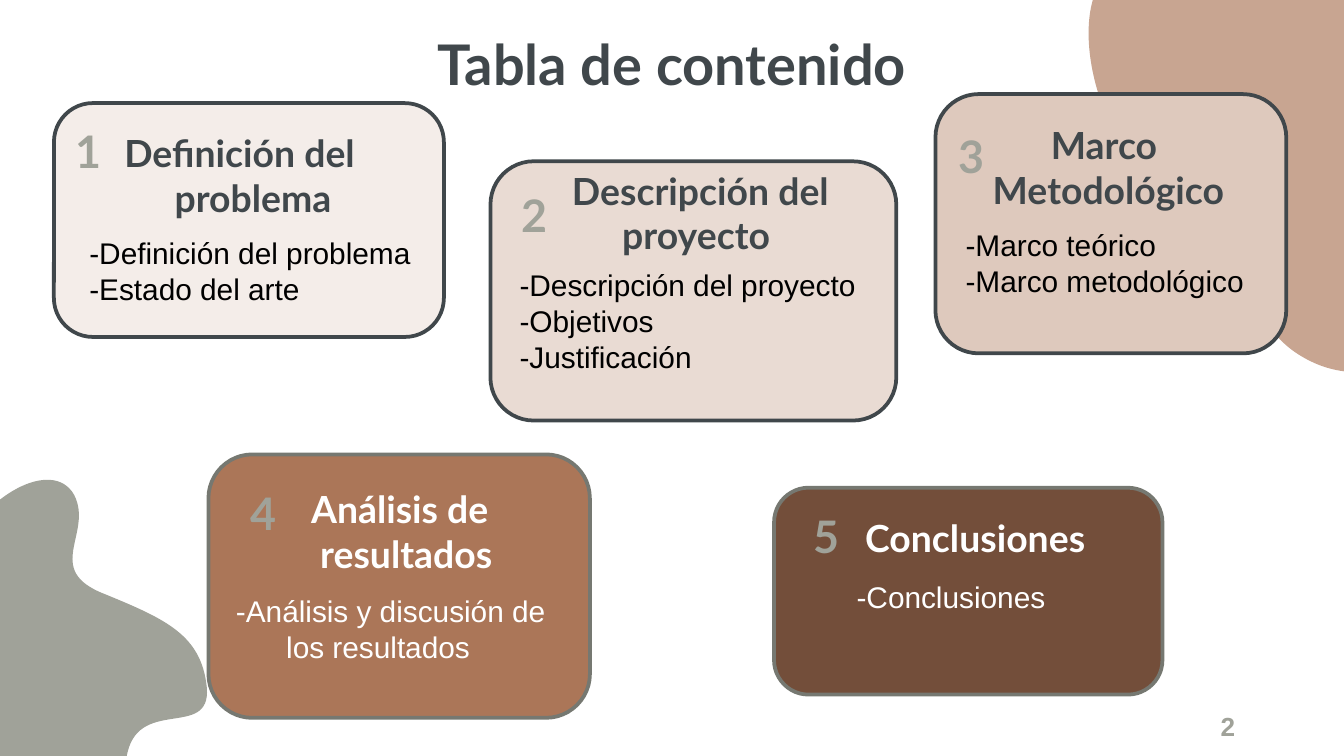
from lxml import etree
from pptx import Presentation
from pptx.dml.color import RGBColor
from pptx.enum.shapes import MSO_SHAPE
from pptx.enum.text import MSO_ANCHOR, MSO_AUTO_SIZE, PP_ALIGN
from pptx.oxml.ns import qn
from pptx.util import Cm, Pt

LEFT, CENTER, JUSTIFY = PP_ALIGN.LEFT, PP_ALIGN.CENTER, PP_ALIGN.JUSTIFY
TOP, MIDDLE, BOTTOM = MSO_ANCHOR.TOP, MSO_ANCHOR.MIDDLE, MSO_ANCHOR.BOTTOM
ROUNDED = MSO_SHAPE.ROUNDED_RECTANGLE
NO_AUTOFIT = MSO_AUTO_SIZE.NONE

DARK, GREY, STONE = "40474B", "A0A299", "767871"
WHITE, BLACK = "FFFFFF", "000000"
INSET = 0.25
NUMBER_SIZE = (1.65, 1.14)

TITLE = "Tabla de contenido"
TITLE_BOX = (1.98, 0.58, 21.44, 1.5)
PAGE_NUMBER = "2"
PAGE_BOX = (22.82, 13.3, 2.57, 0.86)

FONTS = {
    "title": {"name": "Lato", "size": Pt(30), "bold": True},
    "number": {"name": "Lato", "size": Pt(24), "bold": True},
    "heading": {"name": "Lato", "size": Pt(20), "bold": True},
    "items": {"name": "Arial", "size": Pt(16), "bold": False},
    "page": {"name": "Arial", "size": Pt(14), "bold": True},
}

CARDS = [
    {"number": "1", "heading": ["Definición del problema"],
     "items": ["-Definición del problema", "-Estado del arte"],
     "box": (1.02, 1.95, 7.37, 4.42), "number_at": (0.84, 2.27),
     "heading_box": (1.78, 2.21, 6.12, 1.27), "items_box": (1.12, 4.19, 7.42, 2.95),
     "fill": "F4EDE9", "line": DARK, "colors": (DARK, BLACK), "align": (LEFT, LEFT)},
    {"number": "2", "heading": ["Descripción del proyecto"],
     "items": ["-Descripción del proyecto", "-Objetivos", "-Justificación"],
     "box": (9.27, 3.05, 7.67, 4.9), "number_at": (9.27, 3.48),
     "heading_box": (10.24, 2.92, 6.2, 1.27), "items_box": (9.25, 4.8, 7.65, 2.87),
     "fill": "E9DBD3", "line": DARK, "colors": (DARK, BLACK), "align": (LEFT, LEFT)},
    {"number": "3", "heading": ["Marco", " Metodológico"],
     "items": ["-Marco teórico", "-Marco metodológico"],
     "box": (17.68, 1.78, 6.63, 4.9), "number_at": (17.53, 2.37),
     "heading_box": (17.68, 2.06, 6.05, 1.98), "items_box": (17.68, 4.04, 6.32, 2.87),
     "fill": "DEC9BD", "line": DARK, "colors": (DARK, BLACK), "align": (CENTER, JUSTIFY)},
    {"number": "4", "heading": ["Análisis de", " resultados"],
     "items": ["-Análisis y discusión de los resultados"],
     "box": (3.94, 8.59, 7.21, 4.98), "number_at": (4.15, 9.12),
     "heading_box": (5.31, 8.94, 4.72, 2.01), "items_box": (3.89, 10.95, 7.26, 1.85),
     "fill": "AB7658", "line": STONE, "colors": (WHITE, WHITE), "align": (LEFT, LEFT)},
    {"number": "5", "heading": ["Conclusiones"],
     "items": ["-Conclusiones"],
     "box": (14.63, 9.22, 7.34, 3.91), "number_at": (14.79, 9.55),
     "heading_box": (15.78, 9.48, 5.33, 1.27), "items_box": (15.62, 10.69, 5.94, 2.87),
     "fill": "734E3A", "line": STONE, "colors": (WHITE, WHITE), "align": (LEFT, LEFT)},
]

BLOBS = [
    ("C8A591", (25.96, -1.65), [
        ((26.72, -1.3), (27.56, -0.86), (27.15, 0.03)),
        ((26.75, 0.89), (25.27, 2.87), (26.24, 3.25)),
        ((27.2, 3.66), (28.5, 3.58), (28.45, 4.7)),
        ((28.4, 5.84), (26.44, 7.65), (24.77, 6.83)),
        ((23.06, 5.99), (24.21, 4.24), (22.53, 3.81)),
        ((20.85, 3.38), (20.09, 0.41), (20.9, -0.46)),
        ((21.72, -1.32), (25.2, -2.03), (25.96, -1.65)),
    ]),
    (GREY, (1.4, 9.35), [
        ((1.78, 10.08), (0.79, 10.77), (1.98, 11.23)),
        ((3.15, 11.71), (3.81, 12.01), (3.91, 13)),
        ((3.99, 14), (2.57, 13.13), (2.39, 14.33)),
        ((2.24, 15.52), (0.2, 15.21), (-0.3, 13.97)),
        ((-0.79, 12.7), (-1.32, 11.61), (-0.84, 10.52)),
        ((-0.33, 9.37), (0.99, 8.64), (1.4, 9.35)),
    ]),
]


def color(value):
    return RGBColor.from_string(value)


def lengths(values):
    return [Cm(value) for value in values]


def bend_segments(shape):
    segments = list(shape._element.iter(qn("a:lnTo")))
    for index in range(0, len(segments), 3):
        curve = etree.Element(qn("a:cubicBezTo"))
        segments[index].addprevious(curve)
        for segment in segments[index:index + 3]:
            curve.append(segment[0])
            segment.getparent().remove(segment)


def add_blob(slide, fill, start, curves):
    builder = slide.shapes.build_freeform(*lengths(start))
    points = [lengths(point) for curve in curves for point in curve]
    builder.add_line_segments(points, close=False)
    shape = builder.convert_to_shape()
    bend_segments(shape)
    shape.shadow.inherit = False
    shape.fill.solid()
    shape.fill.fore_color.rgb = color(fill)
    shape.line.fill.background()


def add_card(slide, card):
    shape = slide.shapes.add_shape(ROUNDED, *lengths(card["box"]))
    shape.shadow.inherit = False
    shape.fill.solid()
    shape.fill.fore_color.rgb = color(card["fill"])
    shape.line.color.rgb = color(card["line"])
    shape.line.width = Pt(2)


def fill_text(shape, lines, style, ink, align=LEFT, anchor=TOP, inset=INSET, hanging=False):
    frame = shape.text_frame
    frame_format = {
        "word_wrap": True, "auto_size": NO_AUTOFIT, "vertical_anchor": anchor,
        "margin_left": Cm(INSET), "margin_right": Cm(INSET),
        "margin_top": Cm(inset), "margin_bottom": Cm(inset),
    }
    for name, value in frame_format.items():
        setattr(frame, name, value)
    frame.text = "\n".join(lines)
    for paragraph in frame.paragraphs:
        paragraph.alignment = align
        if hanging:
            properties = paragraph._p.get_or_add_pPr()
            properties.set("marL", str(Cm(1.27)))
            properties.set("indent", str(Cm(-0.95)))
        font = paragraph.runs[0].font
        for name, value in FONTS[style].items():
            setattr(font, name, value)
        font.color.rgb = color(ink)


def add_text(slide, box, *content, **options):
    fill_text(slide.shapes.add_textbox(*lengths(box)), *content, **options)


def main():
    presentation = Presentation()
    presentation.slide_width, presentation.slide_height = Cm(25.4), Cm(14.29)
    slide = presentation.slides.add_slide(presentation.slide_layouts[5])

    for blob in BLOBS:
        add_blob(slide, *blob)
    for card in reversed(CARDS):
        add_card(slide, card)

    title = slide.shapes.title
    title.left, title.top, title.width, title.height = lengths(TITLE_BOX)
    fill_text(title, [TITLE], "title", DARK, align=CENTER, anchor=BOTTOM)

    for card in CARDS:
        heading_color, items_color = card["colors"]
        heading_align, items_align = card["align"]
        add_text(slide, card["number_at"] + NUMBER_SIZE, [card["number"]], "number", GREY,
                 align=CENTER, anchor=MIDDLE)
        add_text(slide, card["heading_box"], card["heading"], "heading", heading_color,
                 align=heading_align, hanging=True)
        add_text(slide, card["items_box"], card["items"], "items", items_color,
                 align=items_align, hanging=True)
    add_text(slide, PAGE_BOX, [PAGE_NUMBER], "page", GREY, inset=0.13)

    presentation.save("out.pptx")


if __name__ == "__main__":
    main()
